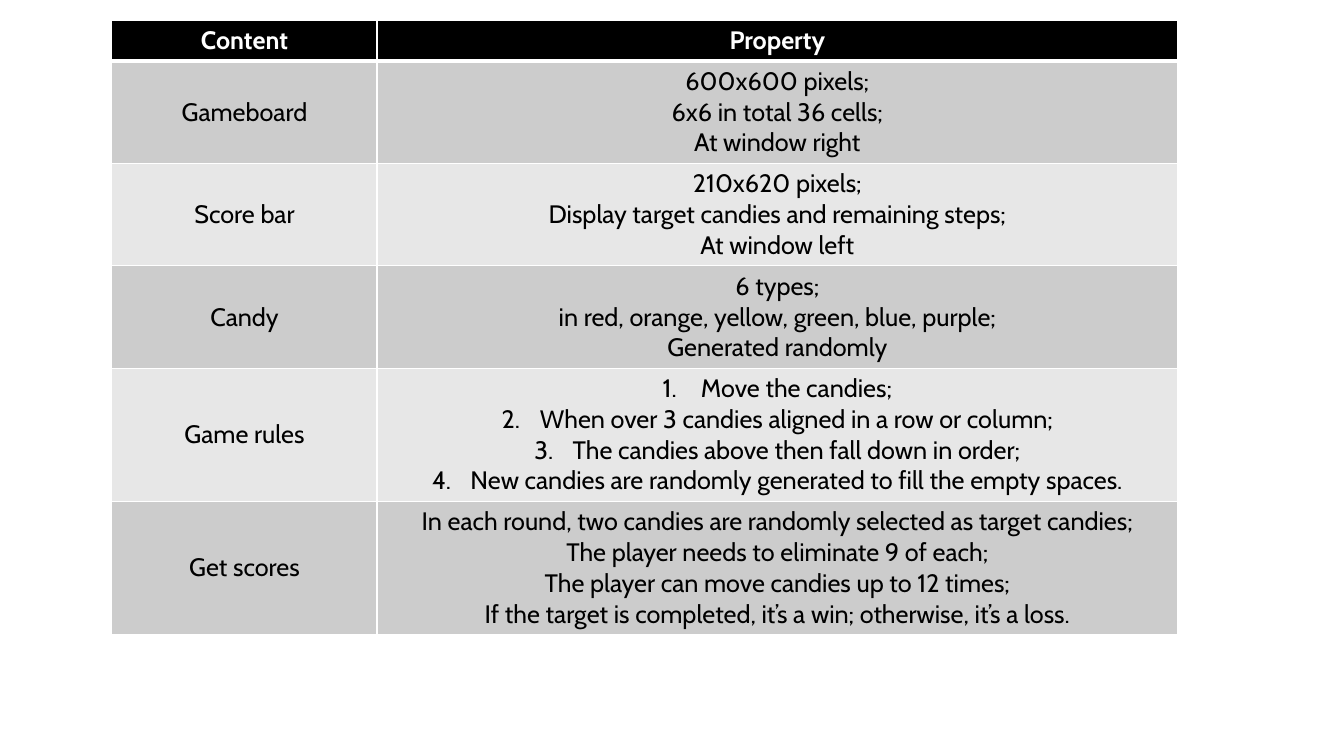
from dataclasses import dataclass

from lxml.etree import SubElement
from pptx import Presentation
from pptx.dml.color import RGBColor
from pptx.enum.text import MSO_ANCHOR, PP_ALIGN
from pptx.oxml.ns import qn
from pptx.table import _Cell as Cell
from pptx.util import Inches, Pt

BLACK = RGBColor(0x00, 0x00, 0x00)
WHITE = RGBColor(0xFF, 0xFF, 0xFF)
DARK_BAND = RGBColor(0xCC, 0xCC, 0xCC)
LIGHT_BAND = RGBColor(0xE7, 0xE7, 0xE7)

FONT = "Cabin"
FONT_SIZE = Pt(18)
COLUMN_WIDTHS = (2.63, 7.94)
LINE_HEIGHT = 0.3
CELL_PADDING = 0.1
THIN, THICK = Pt(1), Pt(3)
NUMBER_INDENT = Inches(0.38)


@dataclass(frozen=True)
class GameRow:
    content: str
    properties: tuple[str, ...]
    numbered: bool = False


ROWS = (
    GameRow("Content", ("Property",)),
    GameRow("Gameboard", (
        "600x600 pixels;",
        "6x6 in total 36 cells;",
        "At window right",
    )),
    GameRow("Score bar", (
        "210x620 pixels;",
        "Display target candies and remaining steps;",
        "At window left",
    )),
    GameRow("Candy", (
        "6 types;",
        "in red, orange, yellow, green, blue, purple;",
        "Generated randomly",
    )),
    GameRow("Game rules", (
        "Move the candies;",
        "When over 3 candies aligned in a row or column;",
        "The candies above then fall down in order;",
        "New candies are randomly generated to fill the empty spaces.",
    ), numbered=True),
    GameRow("Get scores", (
        "In each round, two candies are randomly selected as target candies;",
        "The player needs to eliminate 9 of each;",
        "The player can move candies up to 12 times;",
        "If the target is completed, it’s a win; otherwise, it’s a loss.",
    )),
)


def set_borders(cell: Cell, top: int, bottom: int) -> None:
    """Draw white borders; call before the fill, which must follow them."""
    properties = cell._tc.get_or_add_tcPr()
    widths = {"a:lnL": THIN, "a:lnR": THIN, "a:lnT": top, "a:lnB": bottom}
    for tag, width in widths.items():
        line = SubElement(properties, qn(tag), w=str(int(width)))
        fill = SubElement(line, qn("a:solidFill"))
        SubElement(fill, qn("a:srgbClr"), val=str(WHITE))


def write_lines(cell: Cell, lines: tuple[str, ...], color: RGBColor,
                bold: bool, numbered: bool) -> None:
    cell.vertical_anchor = MSO_ANCHOR.MIDDLE
    cell.text_frame.text = "\n".join(lines)
    for paragraph in cell.text_frame.paragraphs:
        paragraph.alignment = PP_ALIGN.CENTER
        if numbered:
            properties = paragraph._p.get_or_add_pPr()
            properties.set("marL", str(int(NUMBER_INDENT)))
            properties.set("indent", str(-int(NUMBER_INDENT)))
            SubElement(properties, qn("a:buAutoNum"), type="arabicPeriod")
        paragraph.font.name = FONT
        paragraph.font.size = FONT_SIZE
        paragraph.font.bold = bold
        paragraph.font.color.rgb = color


def main() -> None:
    presentation = Presentation()
    presentation.slide_width = Inches(13.33)
    presentation.slide_height = Inches(7.5)
    slide = presentation.slides.add_slide(presentation.slide_layouts[6])

    # Table frame: each row is as high as its lines of text
    heights = [CELL_PADDING + LINE_HEIGHT * len(row.properties) for row in ROWS]
    table = slide.shapes.add_table(
        len(ROWS), len(COLUMN_WIDTHS), Inches(1.11), Inches(0.2),
        Inches(sum(COLUMN_WIDTHS)), Inches(sum(heights))).table
    for column, width in zip(table.columns, COLUMN_WIDTHS):
        column.width = Inches(width)

    # Header and banded body rows
    for index, (game_row, height) in enumerate(zip(ROWS, heights)):
        table.rows[index].height = Inches(height)
        is_header = index == 0
        band = DARK_BAND if index % 2 else LIGHT_BAND
        for column, lines in enumerate(((game_row.content,), game_row.properties)):
            cell = table.cell(index, column)
            set_borders(cell, top=THICK if index == 1 else THIN,
                        bottom=THICK if is_header else THIN)
            cell.fill.solid()
            cell.fill.fore_color.rgb = BLACK if is_header else band
            write_lines(cell, lines, WHITE if is_header else BLACK, is_header,
                        numbered=game_row.numbered and column == 1)

    presentation.save("out.pptx")


if __name__ == "__main__":
    main()
